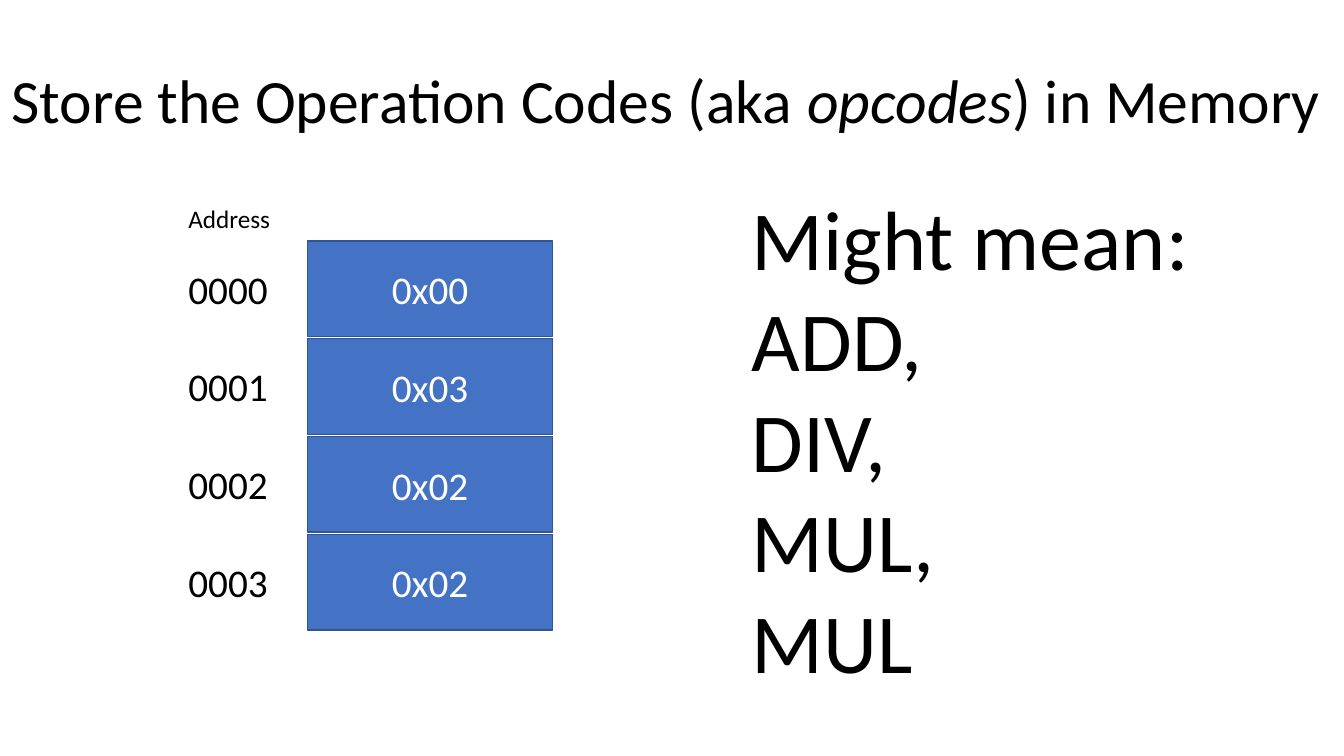
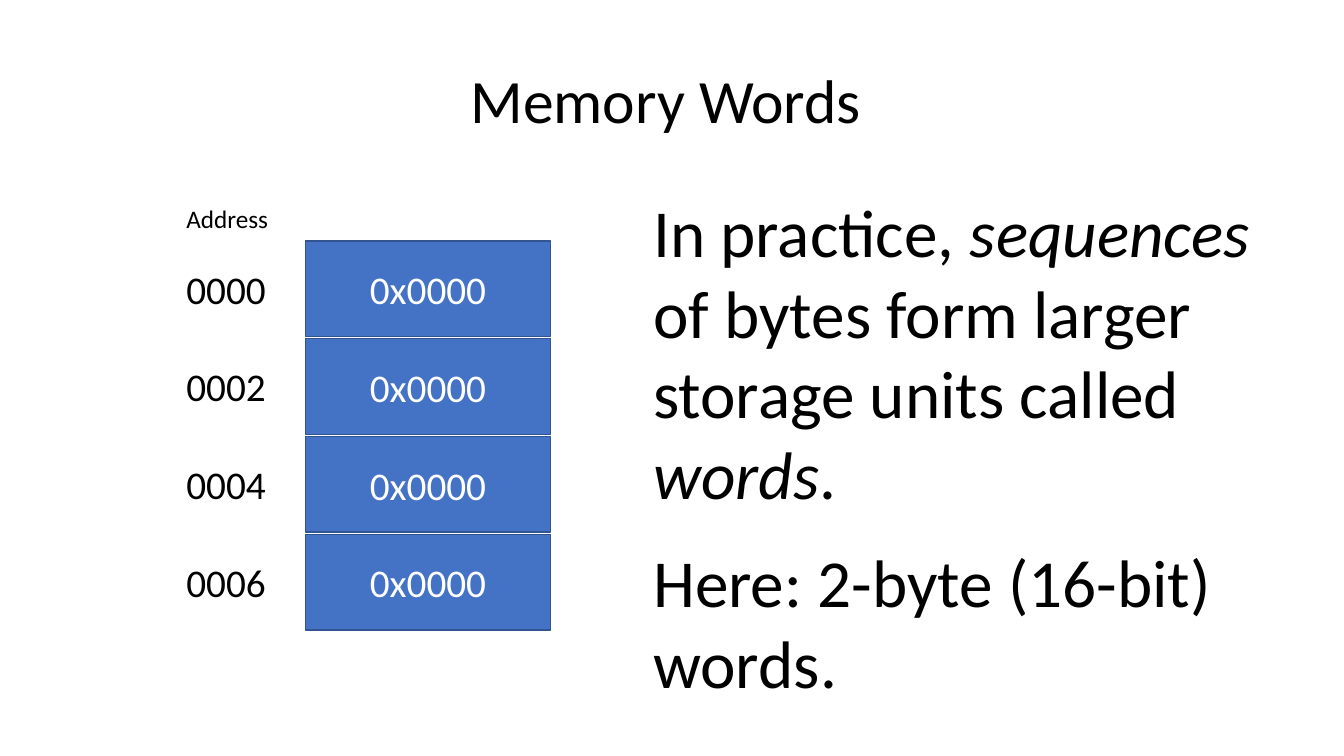
import pptx
import pptx.dml.color
import pptx.enum.shapes
import pptx.enum.text
import pptx.util

Inches = pptx.util.Inches
Pt = pptx.util.Pt
PP_ALIGN = pptx.enum.text.PP_ALIGN
ANCHOR = pptx.enum.text.MSO_ANCHOR
TITLE_ONLY = 5


def color(hex_code):
    return pptx.dml.color.RGBColor.from_string(hex_code)


class Deck:
    FONT = "Calibri"
    INK = "000000"
    CELL_FILL = "4472C4"
    CELL_LINE = "325491"
    CELL_INK = "FFFFFF"

    def __init__(self):
        self.presentation = pptx.Presentation()
        self.presentation.slide_width = Inches(13.33)
        self.presentation.slide_height = Inches(7.5)
        self.slide = None

    def set_text(self, paragraph, text, size, ink=INK, align=PP_ALIGN.LEFT):
        """Fill a paragraph; words between asterisks become italic."""
        for index, part in enumerate(text.split("*")):
            run = paragraph.add_run()
            run.text = part
            if index % 2:
                run.font.italic = True
        paragraph.alignment = align
        paragraph.font.name = self.FONT
        paragraph.font.size = Pt(size)
        paragraph.font.color.rgb = color(ink)

    def add_slide(self, heading):
        layout = self.presentation.slide_layouts[TITLE_ONLY]
        self.slide = self.presentation.slides.add_slide(layout)
        title = self.slide.shapes.title
        title.left, title.top = Inches(0), Inches(0.3)
        title.width, title.height = Inches(13.21), Inches(1.45)
        frame = title.text_frame
        frame.auto_size = pptx.enum.text.MSO_AUTO_SIZE.NONE
        frame.vertical_anchor = ANCHOR.MIDDLE
        heading_line = frame.paragraphs[0]
        self.set_text(heading_line, heading, 44, align=PP_ALIGN.CENTER)
        heading_line.line_spacing = 0.9

    def add_text(self, lines, left, top, width, height, size, gap=0, shapes=None):
        """Add a text box to the slide, or to the given group's shapes."""
        shapes = self.slide.shapes if shapes is None else shapes
        frame = shapes.add_textbox(
            Inches(left), Inches(top), Inches(width), Inches(height)
        ).text_frame
        frame.word_wrap = True
        for index, line in enumerate(lines):
            paragraph = frame.add_paragraph() if index else frame.paragraphs[0]
            self.set_text(paragraph, line, size)
            if index and gap:
                paragraph.space_before = Pt(gap)

    def add_cell(self, value, left, top, shapes):
        cell = shapes.add_shape(
            pptx.enum.shapes.MSO_SHAPE.RECTANGLE,
            Inches(left), Inches(top), Inches(2.43), Inches(0.95),
        )
        cell.shadow.inherit = False
        cell.fill.solid()
        cell.fill.fore_color.rgb = color(self.CELL_FILL)
        cell.line.color.rgb = color(self.CELL_LINE)
        cell.line.width = Pt(1)
        cell.text_frame.vertical_anchor = ANCHOR.MIDDLE
        self.set_text(cell.text_frame.paragraphs[0], value, 28,
                      self.CELL_INK, PP_ALIGN.CENTER)

    def add_memory(self, left, words):
        """Stack (address, value) words downwards, addresses on the left."""
        shapes = self.slide.shapes.add_group_shape().shapes
        for row, (address, value) in enumerate(words):
            top = 2.39 + 0.97 * row
            self.add_cell(value, left + 1.28, top, shapes)
            self.add_text([address], left, top + 0.19, 1.11, 0.57, 28, shapes=shapes)
        self.add_text(["Address"], left, 1.97, 1.11, 0.4, 18, shapes=shapes)


def main():
    deck = Deck()

    deck.add_slide("Store the Operation Codes (aka *opcodes*) in Memory")
    deck.add_text(["Might mean:", "ADD,", "DIV,", "MUL,", "MUL"],
                  7.36, 1.8, 4.77, 5.15, 60)
    deck.add_memory(1.77, [("0000", "0x00"), ("0001", "0x03"),
                           ("0002", "0x02"), ("0003", "0x02")])

    deck.add_slide("Memory Words")
    deck.add_text(
        ["In practice, *sequences* of bytes form larger storage units called *words*.",
         "Here: 2-byte (16-bit) words."],
        6.38, 1.84, 6.21, 5.22, 48, gap=19.5)
    deck.add_memory(1.75, [(f"{address:04}", "0x0000") for address in range(0, 8, 2)])

    deck.presentation.save("out.pptx")


if __name__ == "__main__":
    main()
